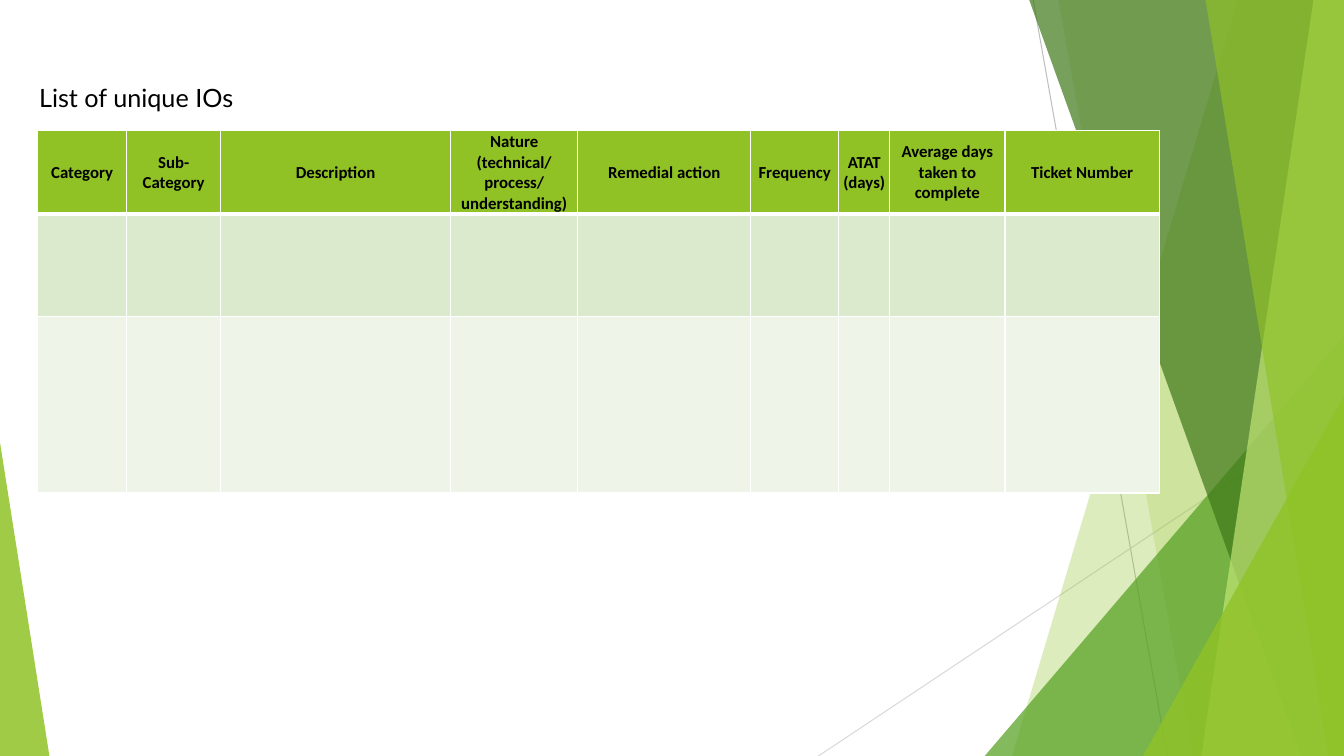
"""Build the slide listing unique IOs beside green facet artwork."""
from dataclasses import dataclass

from lxml.etree import SubElement
from pptx import Presentation
from pptx.dml.color import RGBColor
from pptx.enum.shapes import MSO_CONNECTOR, MSO_SHAPE
from pptx.enum.text import MSO_ANCHOR, MSO_AUTO_SIZE, PP_ALIGN
from pptx.oxml import parse_xml
from pptx.oxml.ns import nsdecls, qn
from pptx.util import Pt


@dataclass(frozen=True)
class Theme:
    """Colours, fonts and type sizes of the slide."""
    lime: str = "90C226"
    green: str = "54A021"
    forest: str = "3F7819"
    pale_lime: str = "C0E474"
    dark_ray: str = "BFBFBF"
    light_ray: str = "D9D9D9"
    row_fills: tuple = ("90C226", "DBE9CD", "EEF4E8")
    border: str = "FFFFFF"
    text: str = "000000"
    title_font: str = "Lato"
    title_size: float = 18
    header_font: str = "Calibri"
    header_size: float = 12


THEME = Theme()
WIDTH, HEIGHT = 960, 540
COLUMNS = (
    ("Category", 63.6),
    ("Sub- Category", 67.1),
    ("Description", 164.3),
    ("Nature (technical/ process/ understanding)", 90.9),
    ("Remedial action", 123.5),
    ("Frequency", 62.9),
    ("ATAT (days)", 36.5),
    ("Average days taken to complete", 82.3),
    ("Ticket Number", 110.3),
)
ROW_HEIGHTS = (57, 73.6, 126)


def paint(facet, color, opacity):
    """Give a facet a translucent fill and no outline."""
    facet.shadow.inherit = False
    facet.line.fill.background()
    facet.fill.solid()
    facet.fill.fore_color.rgb = RGBColor.from_string(color)
    tint = facet.element.spPr.find(".//" + qn("a:srgbClr"))
    SubElement(tint, qn("a:alpha"), val=str(opacity * 1000))


def add_ray(slide, start, end, color):
    """Draw a thin straight line behind the facets."""
    ray = slide.shapes.add_connector(
        MSO_CONNECTOR.STRAIGHT, *(Pt(value) for value in start + end))
    ray.line.color.rgb = RGBColor.from_string(color)
    ray.line.width = Pt(0.75)
    SubElement(ray.element.spPr, qn("a:effectLst"))


def add_band(slide, top_left, bottom_left, color, opacity):
    """Draw a full-height band from a slanted left edge to the slide's right edge."""
    outline = slide.shapes.build_freeform(Pt(top_left), 0, scale=1.0)
    corners = ((WIDTH, 0), (WIDTH, HEIGHT), (bottom_left, HEIGHT))
    outline.add_line_segments([(Pt(x), Pt(y)) for x, y in corners], close=True)
    paint(outline.convert_to_shape(), color, opacity)


def add_wedge(slide, left, top, width, apex, color, opacity):
    """Draw a right triangle standing on the bottom edge of the slide."""
    wedge = slide.shapes.add_shape(
        MSO_SHAPE.ISOSCELES_TRIANGLE, Pt(left), Pt(top), Pt(width), Pt(HEIGHT - top))
    wedge.adjustments[0] = apex
    paint(wedge, color, opacity)


def add_facets(slide):
    """Draw the green artwork from back to front."""
    add_ray(slide, (738, 0), (833.8, HEIGHT), THEME.dark_ray)
    add_ray(slide, (WIDTH, 290.2), (584.6, HEIGHT), THEME.light_ray)
    add_band(slide, 884.2, 722.9, THEME.lime, 30)
    add_band(slide, 756, 851.8, THEME.lime, 20)
    add_wedge(slide, 703.4, 239.8, 256.6, 1, THEME.green, 72)
    add_band(slide, 735.2, 929.5, THEME.forest, 70)
    add_band(slide, 938.2, 858.2, THEME.pale_lime, 70)
    add_band(slide, 861.1, 949, THEME.lime, 65)
    add_wedge(slide, 816.5, 283, 143.5, 1, THEME.lime, 80)
    add_wedge(slide, 0, 316.1, 35.3, 0, THEME.lime, 85)


def style_text(paragraph, font_name, size, bold):
    """Format every run of a paragraph."""
    for run in paragraph.runs:
        run.font.name = font_name
        run.font.size = Pt(size)
        run.font.bold = bold
        run.font.color.rgb = RGBColor.from_string(THEME.text)


def style_cell(cell, fill, top_width, bottom_width):
    """Fill a cell and rule its four sides."""
    cell.fill.solid()
    cell.fill.fore_color.rgb = RGBColor.from_string(fill)
    properties = cell._tc.get_or_add_tcPr()
    sides = (("lnL", 1), ("lnR", 1), ("lnT", top_width), ("lnB", bottom_width))
    for position, (side, width) in enumerate(sides):
        properties.insert(position, parse_xml(
            f'<a:{side} {nsdecls("a")} w="{Pt(width)}"><a:solidFill>'
            f'<a:srgbClr val="{THEME.border}"/></a:solidFill></a:{side}>'))


def write_header(cell, label):
    """Write a centred column heading."""
    cell.margin_left = cell.margin_right = cell.margin_top = Pt(0.7)
    cell.margin_bottom = 0
    cell.vertical_anchor = MSO_ANCHOR.MIDDLE
    cell.text_frame.text = label
    heading = cell.text_frame.paragraphs[0]
    heading.alignment = PP_ALIGN.CENTER
    style_text(heading, THEME.header_font, THEME.header_size, True)


def add_io_table(slide):
    """Add the table with its headings and two empty rows."""
    table = slide.shapes.add_table(
        len(ROW_HEIGHTS), len(COLUMNS), Pt(26.9), Pt(93.4),
        Pt(sum(width for _, width in COLUMNS)), Pt(sum(ROW_HEIGHTS))).table
    for row, height in zip(table.rows, ROW_HEIGHTS):
        row.height = Pt(height)
    for index, (label, width) in enumerate(COLUMNS):
        table.columns[index].width = Pt(width)
        write_header(table.cell(0, index), label)
        for row_index, fill in enumerate(THEME.row_fills):
            style_cell(table.cell(row_index, index), fill,
                       3 if row_index == 1 else 1, 3 if row_index == 0 else 1)


def add_title(slide, title):
    """Add the caption above the table."""
    caption = slide.shapes.add_textbox(Pt(20.9), Pt(55.4), Pt(160.6), Pt(28.8)).text_frame
    caption.word_wrap = False
    caption.auto_size = MSO_AUTO_SIZE.SHAPE_TO_FIT_TEXT
    caption.text = title
    style_text(caption.paragraphs[0], THEME.title_font, THEME.title_size, False)


def main():
    """Build and save the slide."""
    presentation = Presentation()
    presentation.slide_width, presentation.slide_height = Pt(WIDTH), Pt(HEIGHT)
    slide = presentation.slides.add_slide(presentation.slide_layouts[6])
    add_facets(slide)
    add_io_table(slide)
    add_title(slide, "List of unique IOs")
    presentation.save("out.pptx")


if __name__ == "__main__":
    main()
